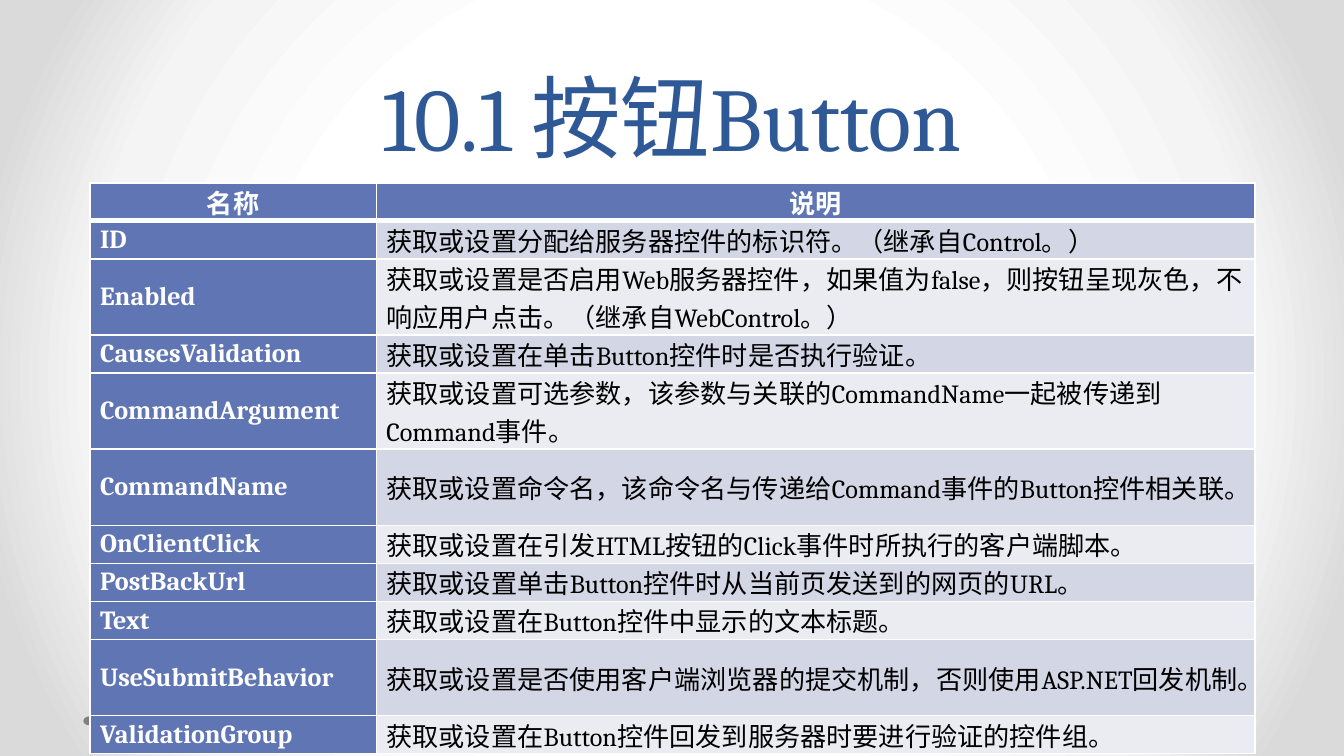
import dataclasses

import lxml.etree
import pptx
import pptx.dml.color
import pptx.enum.lang
import pptx.enum.shapes
import pptx.enum.text
import pptx.oxml
import pptx.oxml.ns
import pptx.util

WIDTH = 10
HEIGHT = WIDTH * 9 / 16
FONT = "Cambria"
WHITE, BLACK, BLUE, TITLE_BLUE, GREY = "FFFFFF", "000000", "6076B4", "2F5897", "808080"
BANDS = ("D2D6E5", "EAECF2")
STOPS = ((50, "FFFFFF"), (76, "F4F4F4"), (92, "DADADA"))
COLUMN_PERCENTS = (21.3, 65.4)
LINE_POINTS = 20.4
CENTER = pptx.enum.text.PP_ALIGN.CENTER
LEFT = pptx.enum.text.PP_ALIGN.LEFT


def across(percent: float) -> int:
    return pptx.util.Inches(WIDTH * percent / 100)


def down(percent: float) -> int:
    return pptx.util.Inches(HEIGHT * percent / 100)


@dataclasses.dataclass(frozen=True)
class Box:
    left: float
    top: float
    width: float
    height: float

    def emu(self) -> tuple:
        return across(self.left), down(self.top), across(self.width), down(self.height)


@dataclasses.dataclass(frozen=True)
class Style:
    size: float
    color: str
    bold: bool = False
    align: pptx.enum.text.PP_ALIGN = LEFT


@dataclasses.dataclass(frozen=True)
class Property:
    name: str
    description: str
    lines: int = 1


TITLE_STYLE = Style(48, TITLE_BLUE, align=CENTER)
HEADER_STYLE = Style(14, WHITE, True, CENTER)
NAME_STYLE = Style(14, WHITE, True)
BODY_STYLE = Style(14, BLACK)

HEADER = Property("名称", "说明")
PROPERTIES = (
    Property("ID", "获取或设置分配给服务器控件的标识符。（继承自Control。）"),
    Property("Enabled", "获取或设置是否启用Web服务器控件，如果值为false，则按钮呈现灰色，"
             "不响应用户点击。（继承自WebControl。）", 2),
    Property("CausesValidation", "获取或设置在单击Button控件时是否执行验证。"),
    Property("CommandArgument", "获取或设置可选参数，该参数与关联的CommandName一起被传递到Command事件。", 2),
    Property("CommandName", "获取或设置命令名，该命令名与传递给Command事件的Button控件相关联。", 2),
    Property("OnClientClick", "获取或设置在引发HTML按钮的Click事件时所执行的客户端脚本。"),
    Property("PostBackUrl", "获取或设置单击Button控件时从当前页发送到的网页的URL。"),
    Property("Text", "获取或设置在Button控件中显示的文本标题。"),
    Property("UseSubmitBehavior", "获取或设置是否使用客户端浏览器的提交机制，否则使用ASP.NET回发机制。", 2),
    Property("ValidationGroup", "获取或设置在Button控件回发到服务器时要进行验证的控件组。"),
)


def rgb(value: str) -> pptx.dml.color.RGBColor:
    return pptx.dml.color.RGBColor.from_string(value)


def set_background(s) -> None:
    stops = "".join(f'<a:gs pos="{pos * 1000}"><a:srgbClr val="{color}"/></a:gs>'
                    for pos, color in STOPS)
    bg = pptx.oxml.parse_xml(
        f'<p:bg {pptx.oxml.ns.nsdecls("p", "a")}><p:bgPr><a:gradFill rotWithShape="1">'
        f'<a:gsLst>{stops}</a:gsLst><a:path path="circle">'
        '<a:fillToRect l="50000" t="50000" r="50000" b="50000"/></a:path>'
        '</a:gradFill><a:effectLst/></p:bgPr></p:bg>')
    s.element.cSld.insert(0, bg)


def set_text(tf, text: str, style: Style) -> None:
    tf.text = text
    tf.word_wrap = True
    p = tf.paragraphs[0]
    p.alignment = style.align
    font = p.runs[0].font
    font.name = FONT
    font.size = pptx.util.Pt(style.size)
    font.bold = style.bold
    font.color.rgb = rgb(style.color)
    font.language_id = pptx.enum.lang.MSO_LANGUAGE_ID.SIMPLIFIED_CHINESE


def add_title(s, text: str, box: Box) -> None:
    tf = s.shapes.add_textbox(*box.emu()).text_frame
    set_text(tf, text, TITLE_STYLE)
    tf.vertical_anchor = pptx.enum.text.MSO_ANCHOR.BOTTOM
    tf.paragraphs[0].line_spacing = pptx.util.Pt(58)


def add_dot(s, box: Box) -> None:
    sp = s.shapes.add_shape(pptx.enum.shapes.MSO_SHAPE.OVAL, *box.emu())
    sp.shadow.inherit = False
    sp.fill.solid()
    sp.fill.fore_color.rgb = rgb(GREY)
    sp.line.fill.background()


def set_borders(cell, top: float, bottom: float) -> None:
    tc_pr = cell._tc.get_or_add_tcPr()
    widths = {"lnL": 1, "lnR": 1, "lnT": top, "lnB": bottom}
    for index, (tag, width) in enumerate(widths.items()):
        ln = lxml.etree.Element(pptx.oxml.ns.qn(f"a:{tag}"), w=str(pptx.util.Pt(width)))
        fill = lxml.etree.SubElement(ln, pptx.oxml.ns.qn("a:solidFill"))
        lxml.etree.SubElement(fill, pptx.oxml.ns.qn("a:srgbClr"), val=WHITE)
        tc_pr.insert(index, ln)


def fill_cell(cell, text: str, style: Style, color: str, top: float, bottom: float) -> None:
    set_text(cell.text_frame, text, style)
    cell.vertical_anchor = pptx.enum.text.MSO_ANCHOR.MIDDLE
    cell.margin_left = cell.margin_right = pptx.util.Pt(5.4)
    cell.margin_top = cell.margin_bottom = 0
    cell.fill.solid()
    cell.fill.fore_color.rgb = rgb(color)
    set_borders(cell, top, bottom)


def add_property_table(s, box: Box) -> None:
    rows = (HEADER, *PROPERTIES)
    table = s.shapes.add_table(len(rows), len(COLUMN_PERCENTS), *box.emu()).table
    for column, percent in zip(table.columns, COLUMN_PERCENTS):
        column.width = across(percent)
    for index, row in enumerate(rows):
        table.rows[index].height = pptx.util.Pt(LINE_POINTS * row.lines)
        is_header = index == 0
        top, bottom = 3 if index == 1 else 1, 3 if is_header else 1
        name_style = HEADER_STYLE if is_header else NAME_STYLE
        body_style = HEADER_STYLE if is_header else BODY_STYLE
        body_fill = BLUE if is_header else BANDS[(index - 1) % 2]
        fill_cell(table.cell(index, 0), row.name, name_style, BLUE, top, bottom)
        fill_cell(table.cell(index, 1), row.description, body_style, body_fill, top, bottom)


def main() -> None:
    prs = pptx.Presentation()
    prs.slide_width = across(100)
    prs.slide_height = down(100)
    s = prs.slides.add_slide(prs.slide_layouts[6])
    set_background(s)
    for left in (92.5, 6.2):
        add_dot(s, Box(left, 94.76, 0.9, 1.2))
    add_title(s, "10.1 按钮Button", Box(5, 0, 90, 23.3))
    add_property_table(s, Box(6.7, 24.18, sum(COLUMN_PERCENTS), 75.5))
    prs.save("out.pptx")


if __name__ == "__main__":
    main()
